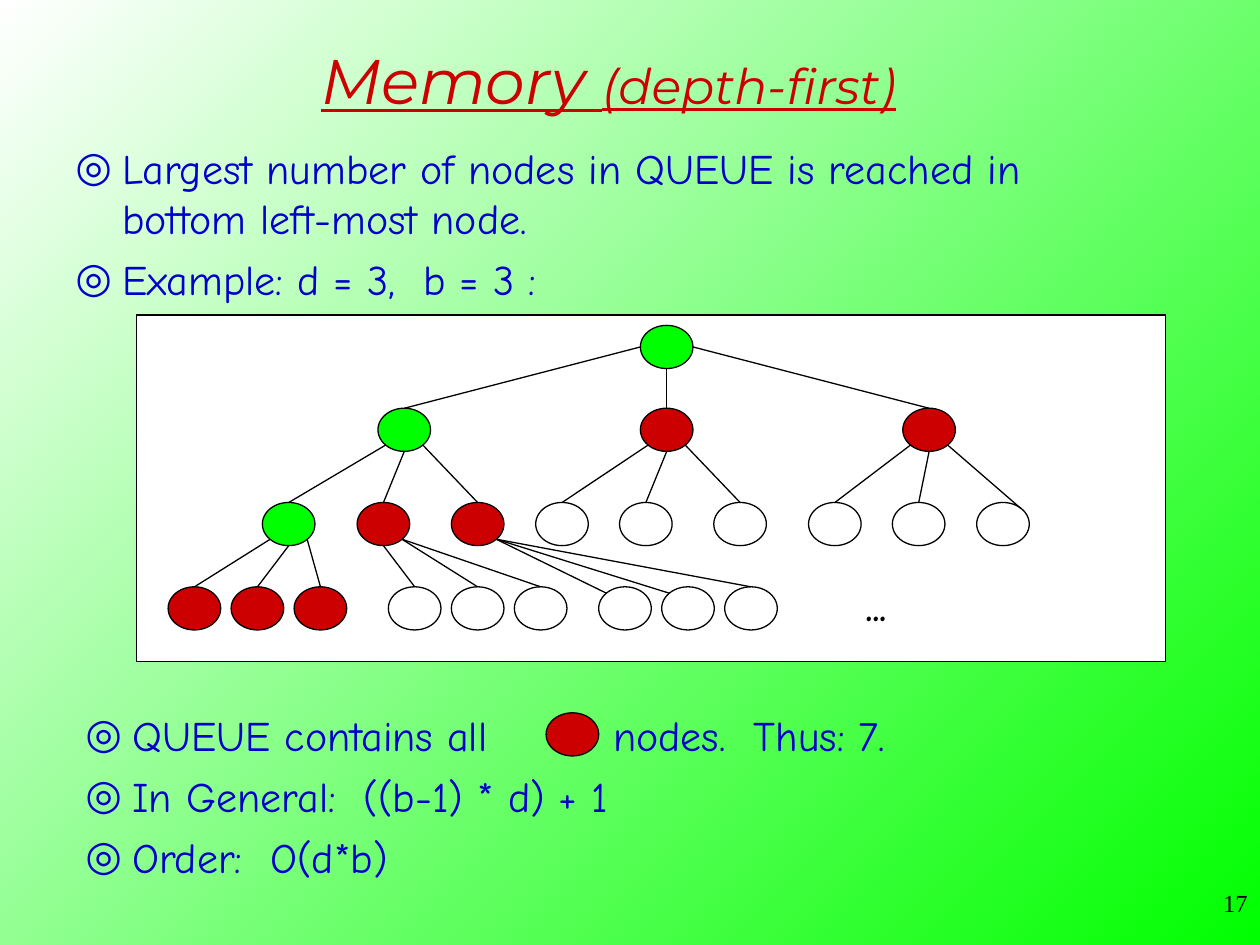
import pptx
import pptx.util
import pptx.dml.color
import pptx.enum.shapes
import pptx.enum.text
import lxml.etree
from pptx.util import Cm, Pt
from pptx.oxml.ns import qn

COLOURS = {"green": "00FF00", "red": "CC0000", "white": "FFFFFF",
           "black": "000000", "blue": "0000CC"}
BODY_FONT = "Comic Neue"
TITLE = [("Memory ", 36), ("(depth-first)", 28)]
INTRO = ["Largest number of nodes in QUEUE is reached in bottom left-most node.",
         "Example: d = 3,  b = 3 :"]
CONCLUSIONS = ["QUEUE contains all\tnodes.  Thus: 7.",
               "In General:  ((b-1) * d) + 1",
               "Order:  O(d*b)"]

NODE_WIDTH, NODE_HEIGHT = 1.06, 0.87
LEVEL_TOPS = [6.56, 8.23, 10.13, 11.83]
LEVEL_LEFTS = [
    [12.91],
    [7.62, 12.91, 18.2],
    [5.29, 7.2, 9.1, 10.8, 12.49, 14.39, 16.3, 17.99, 19.69],
    [start + 1.27 * step for start in (3.39, 7.83, 12.07) for step in range(3)],
]
LEVEL_COLOURS = [
    ["green"],
    ["green", "red", "red"],
    ["green", "red", "red"] + ["white"] * 6,
    ["red"] * 3 + ["white"] * 6,
]
SITES = {"top": (0.5, 0), "left": (0, 0.5), "right": (1, 0.5), "bottom": (0.5, 1),
         "top left": (0.15, 0.15), "top right": (0.85, 0.15),
         "bottom left": (0.15, 0.85), "bottom right": (0.85, 0.85)}
ROOT_EXITS = ["left", "bottom", "right"]
SPREAD_EXITS = ["bottom left", "bottom", "bottom right"]
LEVEL_EXITS = [
    ROOT_EXITS,
    SPREAD_EXITS * 3,
    SPREAD_EXITS + ["bottom"] + ["bottom right"] * 5,
]
LEVEL_ENTRIES = [
    ["top"] * 3,
    ["top"] * 8 + ["top right"],
    ["top"] * 6 + ["top left"] * 2 + ["top"],
]


def colour(name):
    return pptx.dml.color.RGBColor.from_string(COLOURS[name])


def add_filled(slide, kind, left, top, width, height, fill):
    shape = slide.shapes.add_shape(kind, Cm(left), Cm(top), Cm(width), Cm(height))
    shape.shadow.inherit = False
    shape.fill.solid()
    shape.fill.fore_color.rgb = colour(fill)
    shape.line.color.rgb = colour("black")
    shape.line.width = Pt(0.75)


def add_node(slide, left, top, fill):
    add_filled(slide, pptx.enum.shapes.MSO_SHAPE.OVAL, left, top,
               NODE_WIDTH, NODE_HEIGHT, fill)


def site_point(level, index, site):
    across, down = SITES[site]
    return (Cm(LEVEL_LEFTS[level][index] + across * NODE_WIDTH),
            Cm(LEVEL_TOPS[level] + down * NODE_HEIGHT))


def add_edge(slide, start, end):
    connector = slide.shapes.add_connector(
        pptx.enum.shapes.MSO_CONNECTOR.STRAIGHT, *start, *end)
    connector.line.color.rgb = colour("black")
    connector.line.width = Pt(0.75)
    lxml.etree.SubElement(connector._element.spPr, qn("a:effectLst"))


def add_frame(slide, left, top, width, height):
    box = slide.shapes.add_textbox(Cm(left), Cm(top), Cm(width), Cm(height))
    box.text_frame.word_wrap = True
    return box.text_frame


def style(font, name, size, colour_name):
    font.name = name
    font.size = Pt(size)
    font.color.rgb = colour(colour_name)


def add_bullet(paragraph):
    properties = paragraph._p.get_or_add_pPr()
    properties.set("marL", str(Cm(0.95)))
    properties.set("indent", str(Cm(-0.95)))
    bullet_colour = lxml.etree.SubElement(properties, qn("a:buClr"))
    lxml.etree.SubElement(bullet_colour, qn("a:srgbClr"), val=COLOURS["blue"])
    lxml.etree.SubElement(properties, qn("a:buFont"), typeface=BODY_FONT)
    lxml.etree.SubElement(properties, qn("a:buChar"), char="◎")
    if "\t" in paragraph.text:
        tabs = lxml.etree.SubElement(properties, qn("a:tabLst"))
        lxml.etree.SubElement(tabs, qn("a:tab"), pos=str(Cm(10.64)), algn="l")


def add_bullets(slide, lines, left, top, width, height):
    frame = add_frame(slide, left, top, width, height)
    for index, line in enumerate(lines):
        paragraph = frame.add_paragraph() if index else frame.paragraphs[0]
        paragraph.text = line
        add_bullet(paragraph)
        paragraph.space_before = Pt(6 if index else 0)
        style(paragraph.font, BODY_FONT, 24, "blue")


def add_title(slide):
    frame = add_frame(slide, 1.47, 0.43, 21.59, 2.34)
    frame.vertical_anchor = pptx.enum.text.MSO_ANCHOR.MIDDLE
    paragraph = frame.paragraphs[0]
    paragraph.alignment = pptx.enum.text.PP_ALIGN.CENTER
    for text, size in TITLE:
        run = paragraph.add_run()
        run.text = text
        style(run.font, "Montserrat", size, "red")
        run.font.italic = True
        run.font.underline = True


def add_tree(slide):
    add_filled(slide, pptx.enum.shapes.MSO_SHAPE.RECTANGLE,
               2.75, 6.35, 20.75, 6.99, "white")
    for top, lefts, fills in zip(LEVEL_TOPS, LEVEL_LEFTS, LEVEL_COLOURS):
        for left, fill in zip(lefts, fills):
            add_node(slide, left, top, fill)
    for level, (exits, entries) in enumerate(zip(LEVEL_EXITS, LEVEL_ENTRIES)):
        for child, (leaving, entering) in enumerate(zip(exits, entries)):
            add_edge(slide, site_point(level, child // 3, leaving),
                     site_point(level + 1, child, entering))
    frame = add_frame(slide, 17.2, 11.63, 1, 1.19)
    frame.margin_right = 0
    paragraph = frame.paragraphs[0]
    paragraph.text = "..."
    style(paragraph.font, BODY_FONT, 22, "black")
    paragraph.font.bold = True


def add_page_number(slide):
    paragraph = add_frame(slide, 20.12, 17.78, 5.28, 1.27).paragraphs[0]
    paragraph.text = "17"
    paragraph.alignment = pptx.enum.text.PP_ALIGN.RIGHT
    style(paragraph.font, "Times New Roman", 14, "black")


def main():
    presentation = pptx.Presentation()
    presentation.slide_width, presentation.slide_height = Cm(25.4), Cm(19.05)
    slide = presentation.slides.add_slide(presentation.slide_layouts[6])
    background = slide.background.fill
    background.gradient()
    background.gradient_angle = 135
    for stop, name in zip(background.gradient_stops, ("green", "white")):
        stop.color.rgb = colour(name)
    add_title(slide)
    add_bullets(slide, INTRO, 1.27, 2.75, 22.01, 14.18)
    add_tree(slide)
    add_bullets(slide, CONCLUSIONS, 1.47, 14.18, 22.01, 3.81)
    add_node(slide, 11.01, 14.37, "red")
    add_page_number(slide)
    presentation.save("out.pptx")


if __name__ == "__main__":
    main()
